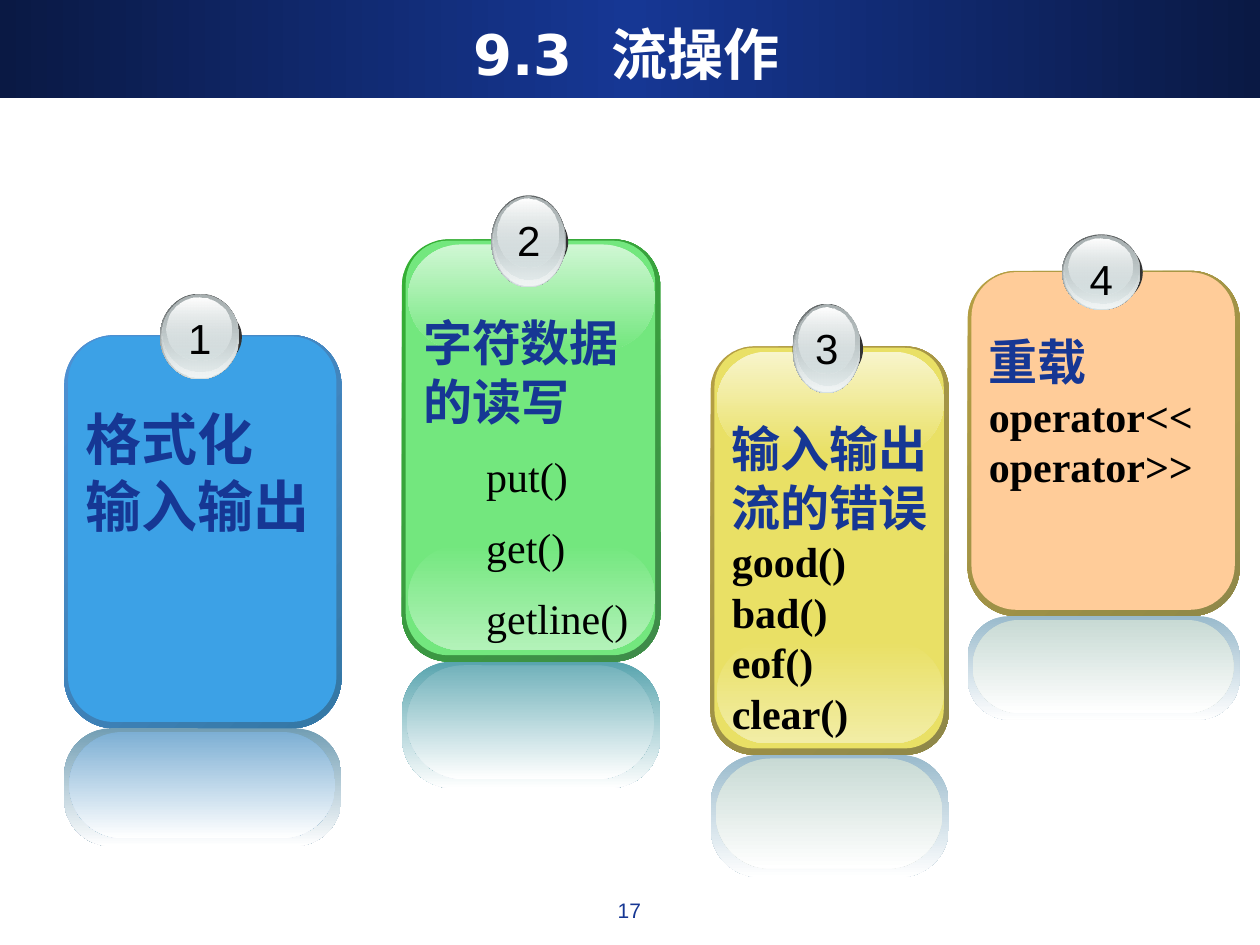
import dataclasses

import lxml.etree
import pptx
import pptx.dml.color
import pptx.enum.shapes
import pptx.enum.text
import pptx.oxml.ns
import pptx.util
from pptx.util import Inches

SHAPE = pptx.enum.shapes.MSO_SHAPE


@dataclasses.dataclass(frozen=True)
class Theme:
    navy: str = "163794"
    navy_dark: str = "0A1944"
    white: str = "FFFFFF"
    black: str = "000000"
    badge_shadow: str = "333333"
    steel: str = "D6E1E2"
    steel_dark: str = "636869"
    steel_mid: str = "AAB2B3"
    steel_light: str = "F1F5F5"
    title_size: int = 32
    heading_size: int = 28
    body_size: int = 24
    page_size: int = 12
    title_font: str = "DejaVu Sans"
    heading_font: str = "Arial"
    code_font: str = "Times New Roman"


theme = Theme()
presentation = pptx.Presentation()
presentation.slide_width, presentation.slide_height = Inches(10), Inches(7.5)
slide = presentation.slides.add_slide(presentation.slide_layouts[6])


def add_layer(kind, x, y, w, h, stops, angle=90, corner=None):
    """Draw a borderless shape; stops are (position, colour[, opacity]) in percent."""
    layer = slide.shapes.add_shape(kind, Inches(x), Inches(y), Inches(w), Inches(h))
    layer.shadow.inherit = False
    layer.line.fill.background()
    if corner is not None:
        layer.adjustments[0] = corner
    if isinstance(stops, str):
        layer.fill.solid()
        layer.fill.fore_color.rgb = pptx.dml.color.RGBColor.from_string(stops)
        return
    layer.fill.background()
    qn = pptx.oxml.ns.qn
    gradient = lxml.etree.Element(qn("a:gradFill"), rotWithShape="1")
    stop_list = lxml.etree.SubElement(gradient, qn("a:gsLst"))
    for position, colour, *opacity in stops:
        stop = lxml.etree.SubElement(stop_list, qn("a:gs"), pos=str(position * 1000))
        rgb = lxml.etree.SubElement(stop, qn("a:srgbClr"), val=colour)
        for percent in opacity:
            lxml.etree.SubElement(rgb, qn("a:alpha"), val=str(percent * 1000))
    lxml.etree.SubElement(gradient, qn("a:lin"), ang=str(angle * 60000), scaled="0")
    properties = layer._element.spPr
    properties.replace(properties.find(qn("a:noFill")), gradient)


def add_text(x, y, w, h, lines, align=None, anchor=None, wrap=True):
    """Write lines of (text, size, font, colour, bold) in a text box."""
    box = slide.shapes.add_textbox(Inches(x), Inches(y), Inches(w), Inches(h))
    frame = box.text_frame
    frame.word_wrap = wrap
    frame.vertical_anchor = anchor
    frame.text = "\n".join(line[0] for line in lines)
    for paragraph, (_, size, font, colour, bold) in zip(frame.paragraphs, lines):
        paragraph.alignment = align
        for run in paragraph.runs:
            run.font.size = pptx.util.Pt(size)
            run.font.name = font
            run.font.bold = bold
            run.font.color.rgb = pptx.dml.color.RGBColor.from_string(colour)
    return frame


center = pptx.enum.text.PP_ALIGN.CENTER
middle = pptx.enum.text.MSO_ANCHOR.MIDDLE

# Title band and page number
add_layer(SHAPE.RECTANGLE, 0, 0, 10, 0.78,
          [(0, theme.navy_dark), (50, theme.navy), (100, theme.navy_dark)], angle=0)
add_text(0.35, 0.11, 9.25, 0.62,
         [("9.3  流操作", theme.title_size, theme.title_font, theme.white, True)],
         center, middle)
add_text(3.83, 7.07, 2.33, 0.35,
         [("17", theme.page_size, theme.heading_font, theme.navy, False)], center)

# Cards: box, edge gradient, face, gloss tints (top, bottom), reflection tints,
# badge box, text top, headings, heading size, code lines, code indented
cards = [
    ((0.51, 2.66, 2.2, 3.12), ("4E91D4", "3477A4"), "3CA1E6", None,
     ("729EB4", "7DAFD4"), (1.27, 2.33, 0.63, 0.68), 3.16,
     ["格式化", "输入输出"], theme.title_size, [], False),
    ((3.19, 1.9, 2.05, 3.35), ("34B034", "3F8B4A"), "73E77E", ("D0F7D4", "B3F2B9"),
     ("58A4AE", "72B2BB"), (3.9, 1.55, 0.59, 0.73), 2.43,
     ["字符数据的读写"], theme.heading_size, ["put()", "get()", "getline()"], True),
    ((5.64, 2.75, 1.89, 3.24), ("B59F43", "8F8849"), "E9E065", ("F8F5CC", "F2EDA6"),
     ("99BACC", "C8DAD4"), (6.29, 2.41, 0.54, 0.71), 3.27,
     ["输入输出流的错误"], theme.heading_size,
     ["good()", "bad()", "eof()", "clear()"], False),
    ((7.68, 2.15, 2.16, 2.74), ("B59F43", "8F8849"), "FFCC99", None,
     ("99BACC", "C8DAD4"), (8.43, 1.86, 0.62, 0.6), 2.58,
     ["重载"], theme.heading_size, ["operator<<", "operator>>"], False),
]

# Badge layers: offset x, offset y, share of width, share of height, stops
badge_layers = [
    (0, 0, 1, 1, [(0, theme.steel_dark), (100, theme.steel)]),
    (0.01, 0.01, 0.97, 0.97, [(0, theme.steel, 0), (100, theme.steel_light)]),
    (0.02, 0.01, 0.94, 0.9, [(0, theme.steel_mid), (100, theme.steel, 48)]),
    (0.05, 0.03, 0.82, 0.74, [(0, theme.white), (100, theme.steel, 38)]),
]

for number, (box, edge, face, gloss, mirror, badge, text_top,
             headings, heading_size, code, indented) in enumerate(cards, 1):
    x, y, w, h = box

    # Card body
    add_layer(SHAPE.ROUNDED_RECTANGLE, x, y, w, h, [(0, edge[0]), (100, edge[1])],
              angle=45, corner=0.18)
    add_layer(SHAPE.ROUNDED_RECTANGLE, x + 0.03, y + 0.01, w - 0.07, h - 0.06, face,
              corner=0.17)
    if gloss:
        gloss_height = 0.25 * h
        for gloss_top, start, end in [(y + h - 0.09 - gloss_height, face, gloss[1]),
                                      (y + 0.04, gloss[0], face)]:
            add_layer(SHAPE.ROUNDED_RECTANGLE, x + 0.05, gloss_top, w - 0.09,
                      gloss_height, [(0, start), (100, end)], corner=0.5)

    # Reflection below the card
    add_layer(SHAPE.ROUNDED_RECTANGLE, x, y + h, w, 0.3 * h,
              [(0, mirror[0]), (100, theme.white)], corner=0.4)
    add_layer(SHAPE.ROUNDED_RECTANGLE, x + 0.04, y + h + 0.03, w - 0.09, 0.27 * h,
              [(0, mirror[1]), (100, theme.white)], corner=0.5)

    # Numbered badge
    bx, by, bw, bh = badge
    add_layer(SHAPE.OVAL, bx, by + bh / 2 - 0.26, bw + 0.02, 0.53, theme.badge_shadow)
    for dx, dy, width_share, height_share, stops in badge_layers:
        add_layer(SHAPE.OVAL, bx + dx, by + dy, bw * width_share, bh * height_share, stops)
    add_text(bx + bw / 2 - 0.19, by + 0.1, 0.38, 0.5,
             [(str(number), theme.body_size, theme.heading_font, theme.black, False)],
             center, wrap=False)

    # Card text
    lines = [(text, heading_size, theme.heading_font, theme.navy, True)
             for text in headings]
    lines += [(text, theme.body_size, theme.code_font, theme.black, not indented)
              for text in code]
    card_text = add_text(x + 0.07, text_top, w - 0.1, y + h - text_top, lines)
    if indented:
        for paragraph in card_text.paragraphs[len(headings):]:
            paragraph.level = 1
            paragraph.line_spacing = 1.2
            paragraph.space_before = pptx.util.Pt(6)
            paragraph_properties = paragraph._p.get_or_add_pPr()
            paragraph_properties.set("marL", str(Inches(0.81)))
            paragraph_properties.set("indent", str(Inches(-0.31)))

presentation.save("out.pptx")
